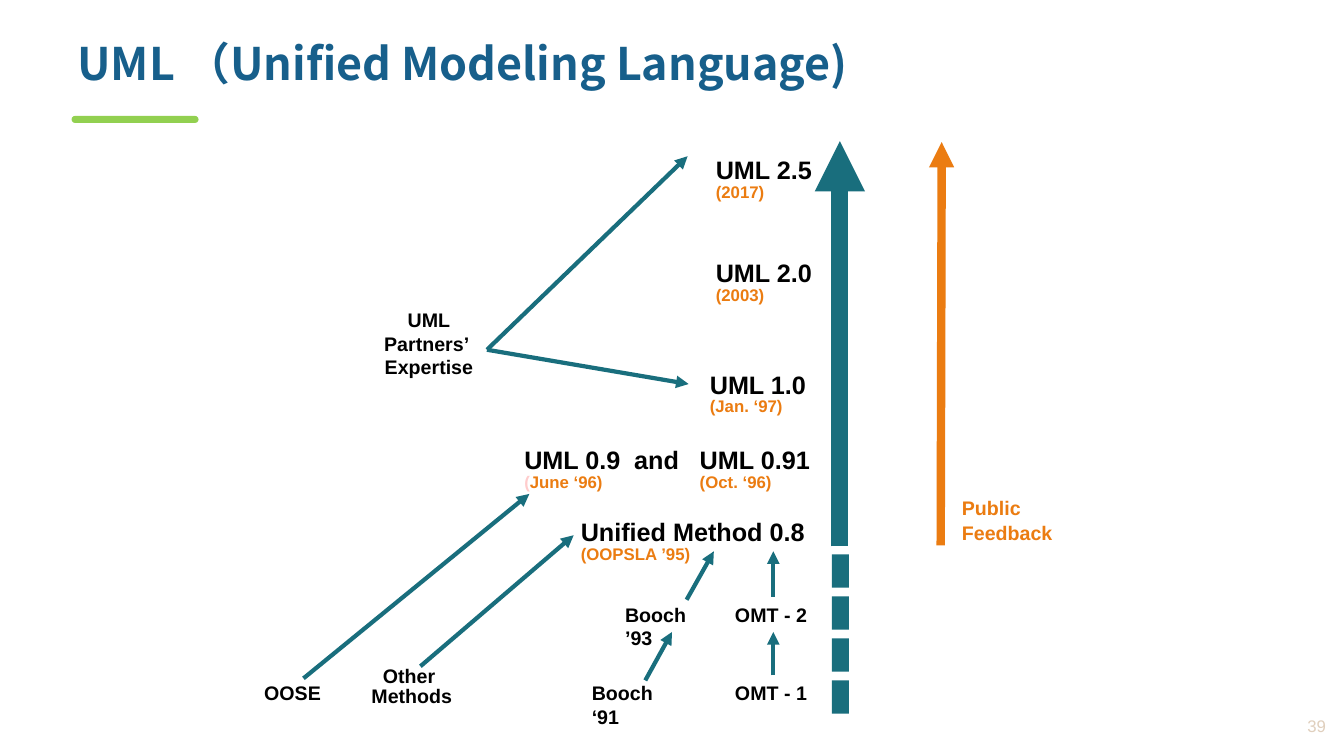
from dataclasses import dataclass
from typing import Optional

from lxml.etree import SubElement
from pptx import Presentation
from pptx.dml.color import RGBColor
from pptx.enum.shapes import MSO_CONNECTOR, MSO_SHAPE
from pptx.enum.text import MSO_ANCHOR, PP_ALIGN
from pptx.oxml.ns import qn
from pptx.util import Inches, Pt

TEAL, ORANGE, BLACK = "196E7D", "EB7C11", "000000"
PALE_PINK, GREEN, BLUE, BEIGE = "FFCCCC", "92D050", "175F8B", "E0CFBD"
TITLE_FONT = "Noto Sans CJK SC"
TOP, BOTTOM = 0, 2


@dataclass(frozen=True)
class Version:
    name: str
    date: str
    left: float
    top: float
    width: float


@dataclass(frozen=True)
class Label:
    lines: tuple[str, ...]
    left: float
    top: float
    width: float
    height: float = 0.35
    size: int = 14
    color: str = BLACK
    align: PP_ALIGN = PP_ALIGN.LEFT
    spacing: float = 0.5


@dataclass(frozen=True)
class Arrow:
    start: tuple[float, float]
    end: tuple[float, float]
    color: str = TEAL
    weight: int = 3
    source: Optional[str] = None
    target: Optional[str] = None


VERSIONS = [
    Version("UML 2.5", "(2017)", 6.98, 1.47, 1.26),
    Version("UML 2.0", "(2003)", 6.98, 2.49, 1.26),
    Version("UML 1.0", "(Jan. ‘97)", 6.92, 3.6, 1.25),
    Version("UML 0.9", "(June ‘96)", 5.08, 4.35, 1.25),
    Version("UML 0.91", "(Oct. ‘96)", 6.82, 4.35, 1.42),
    Version("Unified Method 0.8", "(OOPSLA ’95)", 5.64, 5.06, 2.58),
]

LABELS = [
    Label(("and",), 6.17, 4.35, 0.75, 0.42, size=18),
    Label(("UML", "Partners’ ", "Expertise"), 3.67, 2.99, 1.17, 0.83, align=PP_ALIGN.CENTER),
    Label(("Other ", "Methods"), 3.25, 6.53, 1.67, 0.53, align=PP_ALIGN.CENTER, spacing=0.25),
    Label(("Public", "Feedback"), 9.42, 4.86, 1.17, 0.59, color=ORANGE),
    Label(("OOSE",), 2.5, 6.7, 0.83),
    Label(("Booch ‘91",), 5.75, 6.7, 1.17),
    Label(("Booch ’93",), 6.08, 5.92, 1.17),
    Label(("OMT - 1",), 7.17, 6.7, 1),
    Label(("OMT - 2",), 7.17, 5.92, 1),
]

ARROWS = [
    Arrow((4.83, 3.47), (6.82, 1.55)),
    Arrow((4.83, 3.47), (6.83, 3.81)),
    Arrow((3.01, 6.73), (5.25, 4.9)),
    Arrow((4.17, 6.61), (5.69, 5.31)),
    Arrow((6.4, 6.75), (6.67, 6.27), target="Booch ’93"),
    Arrow((6.81, 5.95), (7.08, 5.47)),
    Arrow((7.67, 6.7), (7.67, 6.27), source="OMT - 1", target="OMT - 2"),
    Arrow((7.67, 5.92), (7.67, 5.47), source="OMT - 2"),
    Arrow((9.33, 5.41), (9.34, 1.41), ORANGE, 6),
    Arrow((8.33, 5.42), (8.33, 1.4), TEAL, 12),
]


def rgb(color: str) -> RGBColor:
    return RGBColor.from_string(color)


def style(font, size: int, color: str, bold: bool = True, name: str = "Arial") -> None:
    font.size, font.bold, font.name = Pt(size), bold, name
    font.color.rgb = rgb(color)


def add_text(slide, lines, left: float, top: float, width: float, height: float):
    box = slide.shapes.add_textbox(Inches(left), Inches(top), Inches(width), Inches(height))
    frame = box.text_frame
    frame.word_wrap = True
    frame.margin_left = frame.margin_right = Inches(0.12)
    frame.margin_top = frame.margin_bottom = Inches(0.06)
    frame.text = "\n".join(lines)
    return box


def add_version(slide, version: Version) -> None:
    box = add_text(slide, (version.name, version.date),
                   version.left, version.top, version.width, 0.57)
    name, date = box.text_frame.paragraphs
    date.line_spacing, date.space_before = 0.25, Pt(7)
    style(name.runs[0].font, 18, BLACK)
    style(date.runs[0].font, 12, ORANGE)
    if version.name == "UML 0.9":
        date.runs[0].text = version.date[0]
        style(date.runs[0].font, 12, PALE_PINK)
        rest = date.add_run()
        rest.text = version.date[1:]
        style(rest.font, 12, ORANGE)


def add_label(slide, label: Label):
    box = add_text(slide, label.lines, label.left, label.top, label.width, label.height)
    for index, paragraph in enumerate(box.text_frame.paragraphs):
        paragraph.alignment = label.align
        if index:
            paragraph.line_spacing, paragraph.space_before = label.spacing, Pt(8)
        style(paragraph.runs[0].font, label.size, label.color)
    return box


def add_arrow(slide, arrow: Arrow, boxes: dict) -> None:
    line = slide.shapes.add_connector(
        MSO_CONNECTOR.STRAIGHT, *map(Inches, arrow.start + arrow.end))
    if arrow.source:
        line.begin_connect(boxes[arrow.source], TOP)
    if arrow.target:
        line.end_connect(boxes[arrow.target], BOTTOM)
    line.line.color.rgb = rgb(arrow.color)
    line.line.width = Pt(arrow.weight)
    SubElement(line.line._get_or_add_ln(), qn("a:tailEnd"), type="triangle")
    SubElement(line._element.spPr, qn("a:effectLst"))


def add_block(slide, kind: MSO_SHAPE, color: str, left: float, top: float,
              width: float, height: float):
    block = slide.shapes.add_shape(
        kind, Inches(left), Inches(top), Inches(width), Inches(height))
    block.shadow.inherit = False
    block.fill.solid()
    block.fill.fore_color.rgb = rgb(color)
    block.line.fill.background()
    return block


def add_title(slide) -> None:
    frame = add_text(slide, ("UML （Unified Modeling Language)",), 0.67, 0.41, 12.27, 0.75).text_frame
    frame.margin_left = frame.margin_right = Inches(0.1)
    frame.margin_top = 0
    paragraph = frame.paragraphs[0]
    paragraph.line_spacing = 0.9
    font = paragraph.runs[0].font
    style(font, 32, BLUE, name=TITLE_FONT)
    SubElement(font._element, qn("a:ea"), typeface=TITLE_FONT)
    underline = add_block(slide, MSO_SHAPE.ROUND_2_SAME_RECTANGLE, GREEN, 0.71, 1.15, 1.26, 0.07)
    underline.adjustments[0] = underline.adjustments[1] = 0.5


def add_page_number(slide) -> None:
    frame = add_text(slide, ("39",), 12.12, 7.01, 1.13, 0.38).text_frame
    frame.margin_right = Inches(0.1)
    frame.vertical_anchor = MSO_ANCHOR.MIDDLE
    paragraph = frame.paragraphs[0]
    paragraph.alignment = PP_ALIGN.RIGHT
    style(paragraph.runs[0].font, 12, BEIGE, bold=False)


def main() -> None:
    deck = Presentation()
    deck.slide_width, deck.slide_height = Inches(13.33), Inches(7.5)
    slide = deck.slides.add_slide(deck.slide_layouts[6])
    add_title(slide)
    for version in VERSIONS:
        add_version(slide, version)
    boxes = {label.lines[0]: add_label(slide, label) for label in LABELS}
    for arrow in ARROWS:
        add_arrow(slide, arrow, boxes)
    for dash in range(4):
        add_block(slide, MSO_SHAPE.RECTANGLE, TEAL, 8.25, 5.5 + dash * 1.25 / 3, 0.17, 0.33)
    add_page_number(slide)
    deck.save("out.pptx")


if __name__ == "__main__":
    main()
